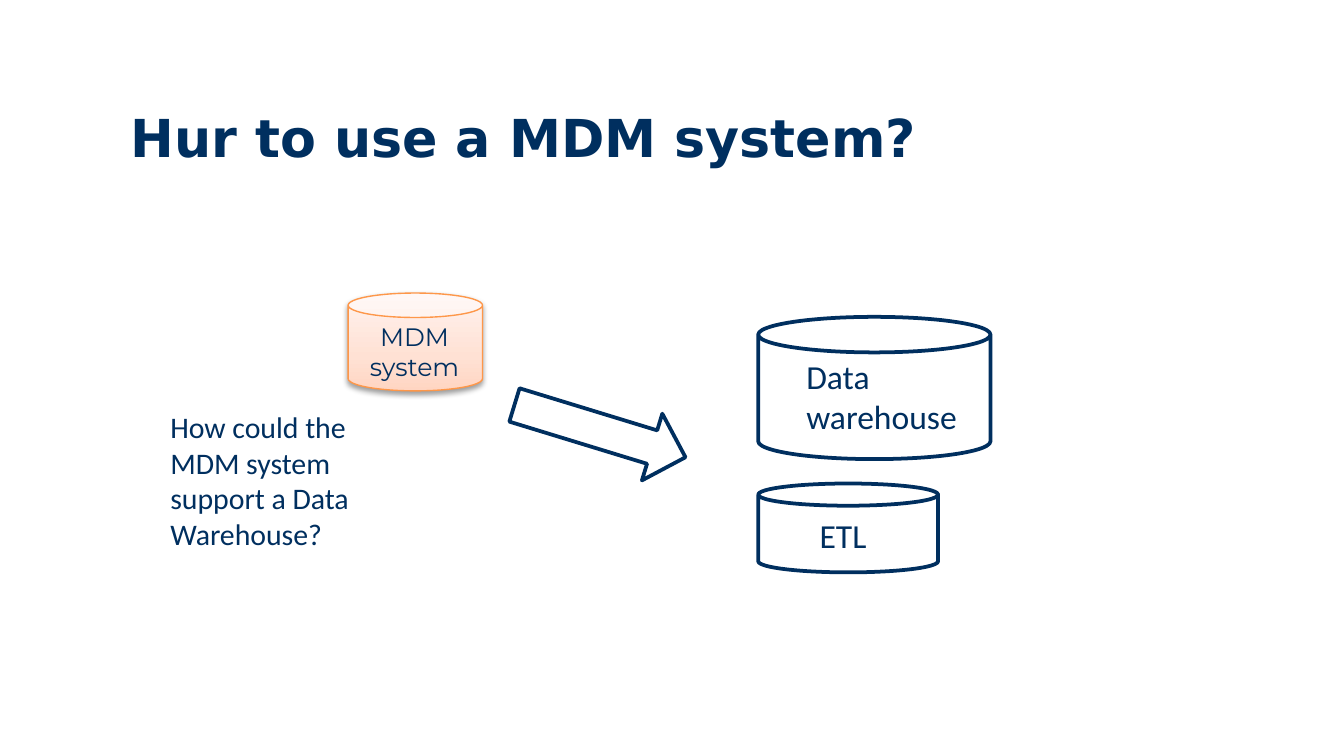
from copy import deepcopy
from dataclasses import dataclass

from lxml.etree import SubElement
from pptx import Presentation
from pptx.dml.color import RGBColor
from pptx.enum.shapes import MSO_SHAPE
from pptx.enum.text import MSO_ANCHOR, PP_ALIGN
from pptx.oxml.ns import qn
from pptx.util import Cm, Pt

NAVY = RGBColor(0x00, 0x2F, 0x5F)
WHITE = RGBColor(0xFF, 0xFF, 0xFF)
ORANGE = RGBColor(0xFE, 0x97, 0x49)
BLACK = RGBColor(0x00, 0x00, 0x00)
PEACH_STOPS = (
    (0, RGBColor(0xFF, 0xD5, 0xC2)),
    (0.35, RGBColor(0xFF, 0xE1, 0xD4)),
    (1, RGBColor(0xFF, 0xF3, 0xEF)),
)


@dataclass(frozen=True)
class Area:
    left: float
    top: float
    width: float
    height: float

    def lengths(self) -> tuple:
        return Cm(self.left), Cm(self.top), Cm(self.width), Cm(self.height)


@dataclass(frozen=True)
class Figure:
    kind: MSO_SHAPE
    area: Area
    rotation: float = 0
    line_color: RGBColor = NAVY
    line_width: float = 2


@dataclass(frozen=True)
class Label:
    lines: tuple
    area: Area
    size: float = 18
    font: str = "Calibri"
    align: PP_ALIGN = PP_ALIGN.LEFT
    margins: tuple = (0.25, 0.13)


MDM_STORE = Figure(MSO_SHAPE.CAN, Area(6.58, 5.54, 2.54, 1.85), 0, ORANGE, 0.75)
MDM_LABEL = Label(("MDM", "system"), Area(5.36, 5.89, 4.95, 1.5), 13.5,
                  "Montserrat", PP_ALIGN.CENTER, (0.36, 0.18))
FLOW_ARROW = Figure(MSO_SHAPE.RIGHT_ARROW, Area(9.65, 7.49, 3.38, 1.32), 17)
WAREHOUSE = Figure(MSO_SHAPE.CAN, Area(14.33, 5.99, 4.39, 2.69))
WAREHOUSE_LABEL = Label(("Data warehouse",), Area(14.99, 6.6, 3.73, 1.8))
ETL_STORE = Figure(MSO_SHAPE.CAN, Area(14.33, 9.14, 3.4, 1.68))
ETL_LABEL = Label(("ETL",), Area(15.24, 9.6, 3.73, 1.02))
QUESTION = Label(("How could the MDM system support a Data Warehouse?",),
                 Area(2.97, 7.59, 4.11, 3), 16)


def add_run(para, text: str, font: str, size: float, bold: bool = False) -> None:
    span = para.add_run()
    span.text = text
    span.font.name = font
    span.font.size = Pt(size)
    span.font.bold = bold
    span.font.color.rgb = NAVY


def draw_figure(page, figure: Figure):
    shape = page.shapes.add_shape(figure.kind, *figure.area.lengths())
    shape.rotation = figure.rotation
    shape.shadow.inherit = False
    shape.fill.solid()
    shape.fill.fore_color.rgb = WHITE
    shape.line.color.rgb = figure.line_color
    shape.line.width = Pt(figure.line_width)
    return shape


def apply_peach_gradient(shape) -> None:
    shape.fill.gradient()
    shape.fill.gradient_angle = 90
    stop_list = shape.element.spPr.find(qn("a:gradFill")).find(qn("a:gsLst"))
    stop_list.append(deepcopy(stop_list[-1]))
    for stop, (position, color) in zip(shape.fill.gradient_stops, PEACH_STOPS):
        stop.position = position
        stop.color.rgb = color


def apply_soft_shadow(shape) -> None:
    effects = shape.element.spPr.find(qn("a:effectLst"))
    shadow = SubElement(effects, qn("a:outerShdw"), blurRad=str(Pt(3.1)),
                        dist=str(Pt(1.6)), dir="5400000", rotWithShape="0")
    color = SubElement(shadow, qn("a:srgbClr"), val=str(BLACK))
    SubElement(color, qn("a:alpha"), val="38000")


def draw_label(page, label: Label) -> None:
    frame = page.shapes.add_textbox(*label.area.lengths()).text_frame
    frame.word_wrap = True
    horizontal, vertical = label.margins
    frame.margin_left = frame.margin_right = Cm(horizontal)
    frame.margin_top = frame.margin_bottom = Cm(vertical)
    for index, line in enumerate(label.lines):
        para = frame.add_paragraph() if index else frame.paragraphs[0]
        para.alignment = label.align
        add_run(para, line, label.font, label.size)


def write_title(page, text: str, area: Area) -> None:
    title = page.shapes.title
    title.left, title.top, title.width, title.height = area.lengths()
    frame = title.text_frame
    frame.vertical_anchor = MSO_ANCHOR.MIDDLE
    para = frame.paragraphs[0]
    para.alignment = PP_ALIGN.LEFT
    add_run(para, text, "DejaVu Sans", 28, bold=True)


def main() -> None:
    deck = Presentation()
    deck.slide_width, deck.slide_height = Cm(25.4), Cm(14.29)
    page = deck.slides.add_slide(deck.slide_layouts[5])
    write_title(page, "Hur to use a MDM system?", Area(2.21, 1.75, 19.02, 1.65))

    mdm_store = draw_figure(page, MDM_STORE)
    apply_peach_gradient(mdm_store)
    apply_soft_shadow(mdm_store)
    for figure in (FLOW_ARROW, WAREHOUSE, ETL_STORE):
        draw_figure(page, figure)
    for label in (MDM_LABEL, WAREHOUSE_LABEL, ETL_LABEL, QUESTION):
        draw_label(page, label)

    deck.save("out.pptx")


if __name__ == "__main__":
    main()
